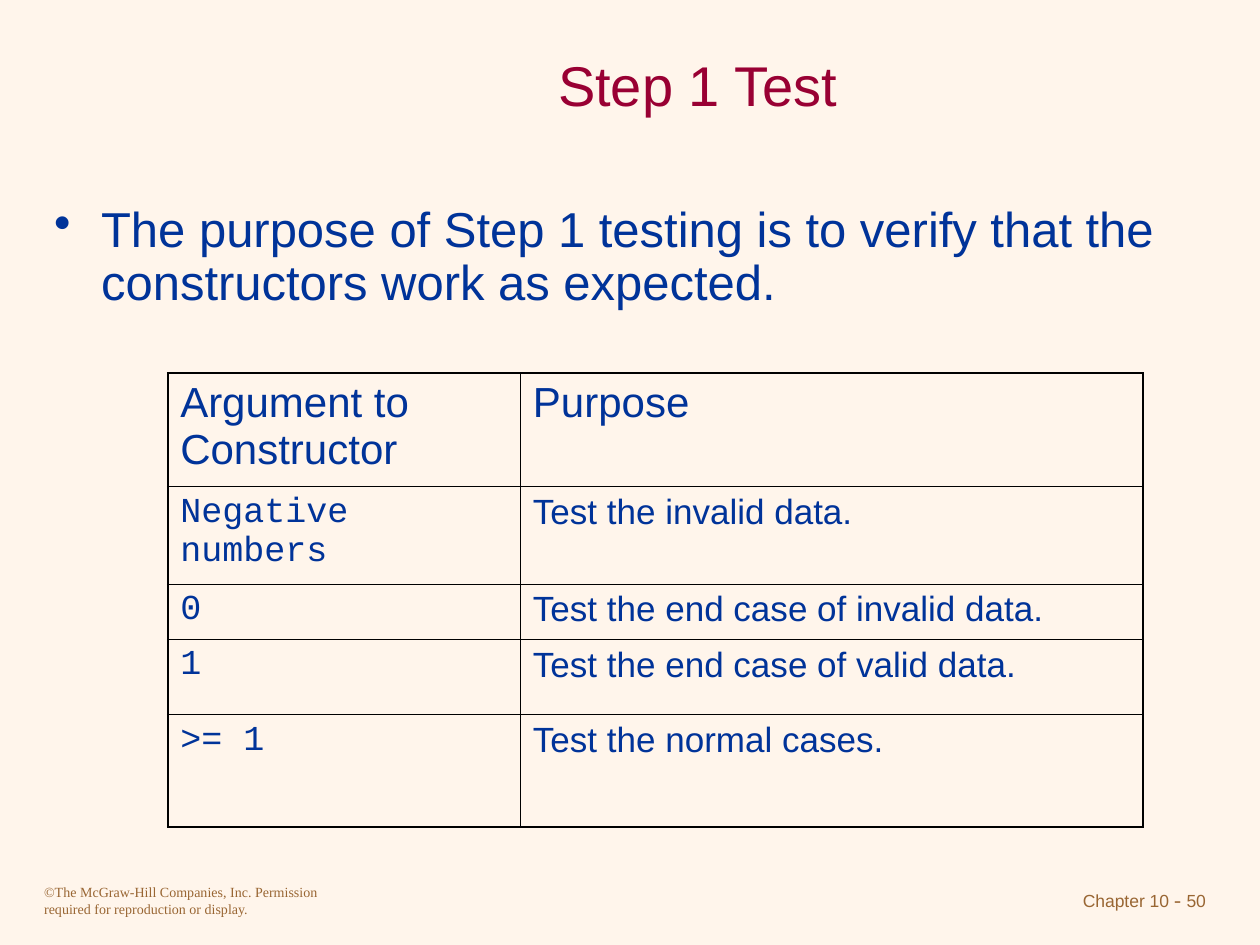
from dataclasses import dataclass

from lxml import etree
from pptx import Presentation
from pptx.dml.color import RGBColor
from pptx.enum.text import MSO_ANCHOR, PP_ALIGN
from pptx.oxml.ns import qn
from pptx.util import Cm, Pt

LEFT, CENTER, RIGHT = PP_ALIGN.LEFT, PP_ALIGN.CENTER, PP_ALIGN.RIGHT
TOP, MIDDLE = MSO_ANCHOR.TOP, MSO_ANCHOR.MIDDLE


@dataclass(frozen=True)
class Theme:
    background = RGBColor(0xFF, 0xF5, 0xEB)
    title = RGBColor(0x99, 0x00, 0x33)
    body = RGBColor(0x00, 0x33, 0x99)
    footer = RGBColor(0x99, 0x66, 0x33)
    border = "000000"
    outer_line = Pt(1.08)
    inner_line = Pt(0.45)
    sans, serif, mono = "Arial", "Times New Roman", "Courier New"
    title_size = Pt(32)
    body_size = Pt(28)
    header_size = Pt(24)
    cell_size = Pt(20)
    dash_size = Pt(12)
    number_size = Pt(10)
    copyright_size = Pt(8)


theme = Theme()


def set_font(font, name, size, color):
    font.name = name
    font.size = size
    font.color.rgb = color


def add_text_box(left, top, width, height, align=LEFT, anchor=TOP):
    """Add a wrapping text box and return its frame and first paragraph."""
    box = page.shapes.add_textbox(Cm(left), Cm(top), Cm(width), Cm(height))
    frame = box.text_frame
    frame.word_wrap = True
    frame.vertical_anchor = anchor
    para = frame.paragraphs[0]
    para.alignment = align
    return frame, para


deck = Presentation()
deck.slide_width, deck.slide_height = Cm(25.4), Cm(19.05)
page = deck.slides.add_slide(deck.slide_layouts[6])
page.background.fill.solid()
page.background.fill.fore_color.rgb = theme.background

# Footer
frame, para = add_text_box(0.64, 17.35, 6.35, 1.27)
frame.margin_top = Cm(0.46)
para.text = ("©The McGraw-Hill Companies, Inc. Permission required "
             "for reproduction or display.")
set_font(para.font, theme.serif, theme.copyright_size, theme.footer)

frame, para = add_text_box(19.05, 17.35, 5.51, 1.27, RIGHT)
frame.margin_top = Cm(0.53)
for text, name, size in [
    ("Chapter 10", theme.sans, theme.number_size),
    (" - ", theme.serif, theme.dash_size),
    ("50", theme.sans, theme.number_size),
]:
    span = para.add_run()
    span.text = text
    set_font(span.font, name, size, theme.footer)

# Title
frame, para = add_text_box(3.81, 0.64, 20.52, 2.11, CENTER, MIDDLE)
para.text = "Step 1 Test"
set_font(para.font, theme.sans, theme.title_size, theme.title)

# Purpose
frame, para = add_text_box(0.84, 4.01, 23.7, 2.46)
para.text = ("The purpose of Step 1 testing is to verify that "
             "the constructors work as expected.")
para.line_spacing = 0.9
properties = para._p.get_or_add_pPr()
properties.set("marL", str(Cm(0.95)))
properties.set("indent", str(-Cm(0.95)))
etree.SubElement(properties, qn("a:buChar"), char="•")
set_font(para.font, theme.sans, theme.body_size, theme.body)

# Test cases
rows = [
    ("Argument to Constructor", "Purpose"),
    ("Negative numbers", "Test the invalid data."),
    ("0", "Test the end case of invalid data."),
    ("1", "Test the end case of valid data."),
    (">= 1", "Test the normal cases."),
]
row_heights = [2.29, 1.96, 1.12, 1.52, 2.26]
column_widths = [7.11, 12.55]
last_row, last_column = len(rows) - 1, len(column_widths) - 1

table = page.shapes.add_table(
    len(rows), len(column_widths), Cm(3.38), Cm(7.52),
    Cm(sum(column_widths)), Cm(sum(row_heights))).table
table.first_row = False
table.horz_banding = False
for column, width in zip(table.columns, column_widths):
    column.width = Cm(width)

for r, (texts, height) in enumerate(zip(rows, row_heights)):
    table.rows[r].height = Cm(height)
    for c, text in enumerate(texts):
        cell = table.cell(r, c)
        para = cell.text_frame.paragraphs[0]
        para.text = text
        name = theme.mono if r > 0 and c == 0 else theme.sans
        size = theme.cell_size if r > 0 else theme.header_size
        set_font(para.font, name, size, theme.body)

        outer_sides = {"lnL": c == 0, "lnR": c == last_column,
                       "lnT": r == 0, "lnB": r == last_row}
        cell_properties = cell._tc.get_or_add_tcPr()
        for side, is_outer in outer_sides.items():
            width = theme.outer_line if is_outer else theme.inner_line
            line = etree.SubElement(cell_properties, qn(f"a:{side}"), w=str(width))
            fill = etree.SubElement(line, qn("a:solidFill"))
            etree.SubElement(fill, qn("a:srgbClr"), val=theme.border)
        cell.fill.background()

deck.save("out.pptx")
